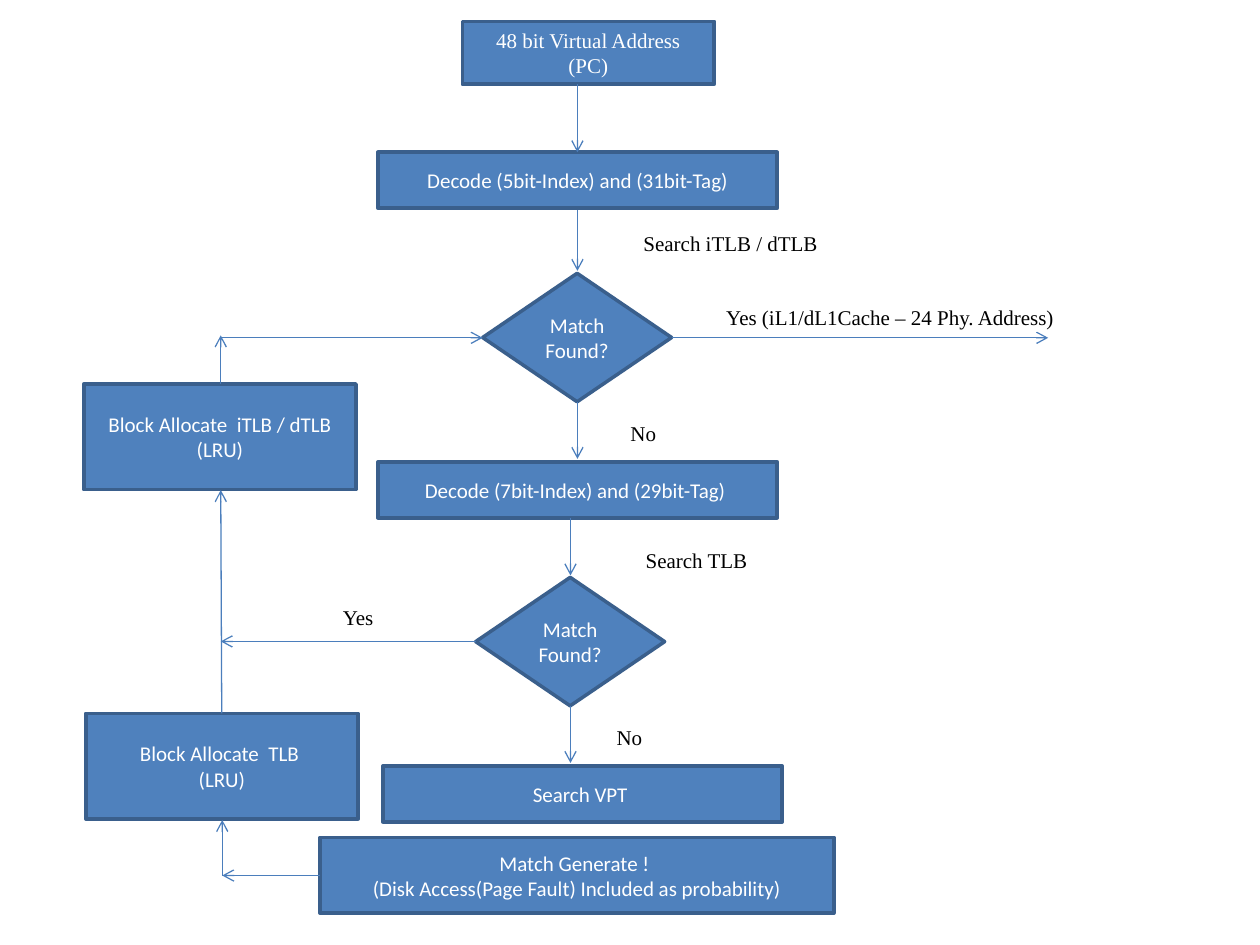
"""Build the address translation flowchart slide."""
from dataclasses import dataclass

from lxml import etree
from pptx import Presentation
from pptx.dml.color import RGBColor
from pptx.enum.shapes import MSO_CONNECTOR, MSO_SHAPE
from pptx.enum.text import MSO_ANCHOR, MSO_AUTO_SIZE, PP_ALIGN
from pptx.oxml.ns import qn
from pptx.slide import Slide
from pptx.text.text import TextFrame
from pptx.util import Cm, Pt


@dataclass(frozen=True)
class Theme:
    fill: RGBColor = RGBColor(0x4F, 0x81, 0xBD)
    border: RGBColor = RGBColor(0x3A, 0x5F, 0x8C)
    arrow: RGBColor = RGBColor(0x4B, 0x7E, 0xBC)
    light: RGBColor = RGBColor(0xFF, 0xFF, 0xFF)
    dark: RGBColor = RGBColor(0, 0, 0)
    sans: str = "Calibri"
    serif: str = "Times New Roman"
    size: Pt = Pt(12)
    border_width: Pt = Pt(2)
    arrow_width: Pt = Pt(0.75)


THEME = Theme()


@dataclass(frozen=True)
class Step:
    text: str
    left: float
    top: float
    width: float
    height: float
    font: str = THEME.sans
    shape: MSO_SHAPE = MSO_SHAPE.RECTANGLE


@dataclass(frozen=True)
class Label:
    text: str
    left: float
    top: float
    width: float


@dataclass(frozen=True)
class Arrow:
    x1: float
    y1: float
    x2: float
    y2: float


def decision(left: float, top: float) -> Step:
    return Step("Match Found?", left, top, 3.81, 2.59, shape=MSO_SHAPE.DIAMOND)


def operation(text: str, left: float, top: float) -> Step:
    return Step(text, left, top, 8.05, 1.13)


def allocation(target: str, left: float, top: float) -> Step:
    return Step(f"Block Allocate  {target}\n(LRU)", left, top, 5.49, 2.13)


STEPS = [
    Step("48 bit Virtual Address (PC)", 9.32, 0.43, 5.08, 1.27, THEME.serif),
    operation("Decode (5bit-Index) and (31bit-Tag)", 7.62, 3.07),
    decision(9.73, 5.51),
    operation("Decode (7bit-Index) and (29bit-Tag) ", 7.62, 9.31),
    decision(9.59, 11.64),
    operation("Search VPT ", 7.72, 15.44),
    allocation("iTLB / dTLB", 1.69, 7.74),
    allocation("TLB ", 1.73, 14.38),
    Step("Match Generate ! \n(Disk Access(Page Fault) Included as probability)",
         6.45, 16.88, 10.36, 1.53),
]

LABELS = [
    Label("Search iTLB / dTLB", 12.7, 4.52, 4.06),
    Label("Yes (iL1/dL1Cache – 24 Phy. Address)", 14.35, 6.02, 7.19),
    Label("No ", 12.45, 8.35, 1.14),
    Label("Search TLB ", 12.75, 10.91, 2.69),
    Label("Yes", 6.65, 12.06, 1.14),
    Label("No ", 12.17, 14.48, 1.14),
]

UPPER_X, LOWER_X, RETURN_X = 11.64, 11.5, 4.45
UPPER_Y, LOWER_Y, FAULT_Y = 6.81, 12.93, 17.65

ARROWS = [
    Arrow(UPPER_X, 1.7, UPPER_X, 3.07),
    Arrow(UPPER_X, 4.23, UPPER_X, 5.46),
    Arrow(UPPER_X, 8.1, UPPER_X, 9.25),
    Arrow(LOWER_X, 10.44, LOWER_X, 11.6),
    Arrow(LOWER_X, 14.23, LOWER_X, 15.38),
    Arrow(13.54, UPPER_Y, 21.13, UPPER_Y),
    Arrow(9.59, LOWER_Y, RETURN_X, LOWER_Y),
    Arrow(RETURN_X + 0.02, 14.38, RETURN_X, 9.88),
    Arrow(RETURN_X, 7.74, RETURN_X, 6.76),
    Arrow(RETURN_X, UPPER_Y, 9.73, UPPER_Y),
    Arrow(6.45, FAULT_Y, RETURN_X + 0.03, FAULT_Y),
    Arrow(RETURN_X + 0.03, FAULT_Y, RETURN_X + 0.03, 16.53),
]


def write(frame: TextFrame, text: str, font: str, color: RGBColor) -> None:
    frame.text = text
    for paragraph in frame.paragraphs:
        paragraph.alignment = PP_ALIGN.CENTER
        for run in paragraph.runs:
            run.font.name = font
            run.font.size = THEME.size
            run.font.color.rgb = color


def draw_step(slide: Slide, step: Step) -> None:
    shape = slide.shapes.add_shape(
        step.shape, Cm(step.left), Cm(step.top), Cm(step.width), Cm(step.height))
    shape.shadow.inherit = False
    shape.fill.solid()
    shape.fill.fore_color.rgb = THEME.fill
    shape.line.color.rgb = THEME.border
    shape.line.width = THEME.border_width
    shape.text_frame.word_wrap = True
    shape.text_frame.vertical_anchor = MSO_ANCHOR.MIDDLE
    write(shape.text_frame, step.text, step.font, THEME.light)


def draw_label(slide: Slide, label: Label) -> None:
    box = slide.shapes.add_textbox(
        Cm(label.left), Cm(label.top), Cm(label.width), Cm(0.77))
    box.text_frame.word_wrap = False
    box.text_frame.auto_size = MSO_AUTO_SIZE.SHAPE_TO_FIT_TEXT
    write(box.text_frame, label.text, THEME.serif, THEME.dark)


def draw_arrow(slide: Slide, arrow: Arrow) -> None:
    line = slide.shapes.add_connector(
        MSO_CONNECTOR.STRAIGHT,
        Cm(arrow.x1), Cm(arrow.y1), Cm(arrow.x2), Cm(arrow.y2))
    line.line.color.rgb = THEME.arrow
    line.line.width = THEME.arrow_width
    properties = line.element.spPr
    etree.SubElement(properties.find(qn("a:ln")), qn("a:tailEnd"), type="arrow")
    etree.SubElement(properties, qn("a:effectLst"))


def main() -> None:
    deck = Presentation()
    deck.slide_width, deck.slide_height = Cm(25.4), Cm(19.05)
    slide = deck.slides.add_slide(deck.slide_layouts[6])
    for step in STEPS:
        draw_step(slide, step)
    for arrow in ARROWS:
        draw_arrow(slide, arrow)
    for label in LABELS:
        draw_label(slide, label)
    deck.save("out.pptx")


main()
